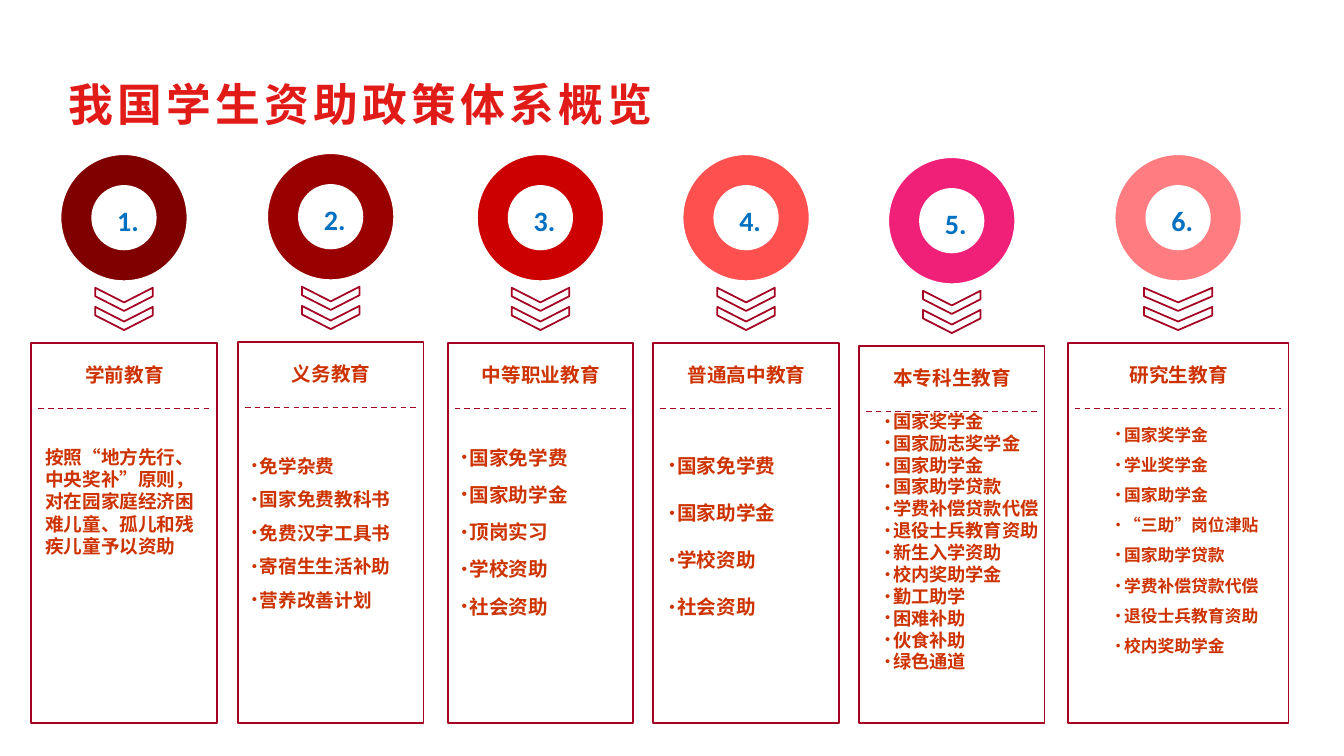
from lxml import etree
from pptx import Presentation
from pptx.dml.color import RGBColor
from pptx.enum.dml import MSO_LINE
from pptx.enum.shapes import MSO_CONNECTOR, MSO_SHAPE
from pptx.enum.text import MSO_ANCHOR, MSO_AUTO_SIZE, PP_ALIGN
from pptx.oxml.ns import qn
from pptx.util import Inches, Pt

CHINESE_FONT = "Noto Sans CJK SC"
BORDER = "A50021"
TEXT = "CC3300"
CARD_BOTTOM = 7.17

# left, top and width of the card; body is dx, dy, height, size, line spacing, space before
STAGES = [
    dict(card=(0.31, 3.4, 1.84), ring="800000", name="学前教育", bulleted=False,
         body=(0.04, 0.97, 1.22, 13.3, 1, 0),
         items=["按照“地方先行、中央奖补”原则， 对在园家庭经济困难儿童、孤儿和残疾儿童予以资助"]),
    dict(card=(2.36, 3.39, 1.84), ring="990000", name="义务教育",
         body=(0.04, 0.96, 1.78, 13.3, 1.5, 0),
         items=["免学杂费", "国家免费教科书", "免费汉字工具书", "寄宿生生活补助", "营养改善计划"]),
    dict(card=(4.44, 3.4, 1.84), ring="CC0000", name="中等职业教育",
         body=(0.04, 0.97, 1.82, 14, 1, 9.8),
         items=["国家免学费", "国家助学金", "顶岗实习", "学校资助", "社会资助"]),
    dict(card=(6.48, 3.4, 1.84), ring="FF5050", name="普通高中教育",
         body=(0.06, 0.82, 1.99, 14, 2, 0),
         items=["国家免学费", "国家助学金", "学校资助", "社会资助"]),
    dict(card=(8.52, 3.43, 1.84), ring="F02079", name="本专科生教育",
         body=(0.16, 0.59, 2.73, 13, 1, 0),
         items=["国家奖学金", "国家励志奖学金", "国家助学金", "国家助学贷款",
                "学费补偿贷款代偿", "退役士兵教育资助", "新生入学资助", "校内奖助学金",
                "勤工助学", "困难补助", "伙食补助", "绿色通道"]),
    dict(card=(10.59, 3.4, 2.19), ring="FF7C80", name="研究生教育",
         body=(0.38, 0.66, 2.76, 12, 1.5, 0),
         items=["国家奖学金", "学业奖学金", "国家助学金", "“三助”岗位津贴",
                "国家助学贷款", "学费补偿贷款代偿", "退役士兵教育资助", "校内奖助学金"]),
]


def color(hex_string):
    return RGBColor.from_string(hex_string)


def add_run(paragraph, text, size, hex_string, font_name=CHINESE_FONT):
    run = paragraph.add_run()
    run.text = text
    formats = {"size": Pt(size), "bold": True, "name": font_name}
    for attribute, value in formats.items():
        setattr(run.font, attribute, value)
    run.font.color.rgb = color(hex_string)
    properties = run.font._element
    properties.set("lang", "zh-CN")
    east_asian = etree.SubElement(properties, qn("a:ea"))
    east_asian.set("typeface", font_name)
    return run


def add_bullet(paragraph):
    properties = paragraph._p.get_or_add_pPr()
    indent = Inches(0.08)
    properties.set("marL", str(indent))
    properties.set("indent", str(-indent))
    for tag, attribute, value in (("a:buSzPct", "val", "80000"),
                                  ("a:buFont", "typeface", "Arial"),
                                  ("a:buChar", "char", "•")):
        etree.SubElement(properties, qn(tag)).set(attribute, value)


def add_text_box(shapes, left, top, width, height):
    box = shapes.add_textbox(Inches(left), Inches(top), Inches(width), Inches(height))
    box.text_frame.word_wrap = True
    return box.text_frame


def add_label(shapes, left, top, width, height, text, **run_format):
    paragraph = add_text_box(shapes, left, top, width, height).paragraphs[0]
    paragraph.alignment = PP_ALIGN.CENTER
    add_run(paragraph, text, **run_format)


def add_outlined(shapes, kind, left, top, width, height, line=BORDER, fill=None):
    shape = shapes.add_shape(kind, Inches(left), Inches(top), Inches(width), Inches(height))
    shape.shadow.inherit = False
    if fill:
        shape.fill.solid()
        shape.fill.fore_color.rgb = color(fill)
    else:
        shape.fill.background()
    shape.line.color.rgb = color(line)
    shape.line.width = Pt(1.25)
    return shape


def add_dashed_rule(shapes, left, right, y):
    rule = shapes.add_connector(MSO_CONNECTOR.STRAIGHT, Inches(left), Inches(y),
                                Inches(right), Inches(y))
    rule.line.color.rgb = color(BORDER)
    rule.line.width = Pt(1)
    rule.line.dash_style = MSO_LINE.DASH
    etree.SubElement(rule._element.spPr, qn("a:effectLst"))


def add_badge(shapes, center, card_top, card_width, number, ring):
    """Numbered ring with two chevrons pointing down at the card."""
    diameter = 1.26
    add_outlined(shapes, MSO_SHAPE.DONUT, center - diameter / 2, card_top - 1.87,
                 diameter, diameter, line="FFFFFF", fill=ring)
    add_label(shapes, center - 0.31, card_top - 1.43, 0.7, 0.44, f"{number}.",
              size=20, hex_string="0070C0", font_name="Calibri")
    depth, span = 0.23, card_width * 0.31
    for rise in (0.43, 0.24):
        chevron = add_outlined(shapes, MSO_SHAPE.CHEVRON, center - depth / 2,
                               card_top - rise - span / 2, depth, span)
        chevron.rotation = 90
        chevron.adjustments[0] = 0.632


def add_body(shapes, card, body, items, bulleted):
    left, top, width = card
    dx, dy, height, size, line_spacing, space_before = body
    frame = add_text_box(shapes, left + dx, top + dy, width - 0.07, height)
    for index, item in enumerate(items):
        paragraph = frame.add_paragraph() if index else frame.paragraphs[0]
        paragraph.line_spacing = line_spacing
        if index and space_before:
            paragraph.space_before = Pt(space_before)
        if bulleted:
            add_bullet(paragraph)
        add_run(paragraph, item, size, TEXT)


def add_stage(slide, number, card, ring, name, body, items, bulleted=True):
    left, top, width = card
    shapes = slide.shapes.add_group_shape().shapes
    add_badge(shapes, left + width / 2, top, width, number, ring)
    add_outlined(shapes, MSO_SHAPE.RECTANGLE, left, top, width, CARD_BOTTOM - top)
    add_dashed_rule(shapes, left + 0.07, left + width - 0.07, top + 0.65)
    add_label(shapes, left + 0.04, top + 0.15, width - 0.07, 0.34, name,
              size=14, hex_string=TEXT)
    add_body(shapes, card, body, items, bulleted)


def format_title(title, text, left, top, width, height):
    for attribute, value in dict(left=left, top=top, width=width, height=height).items():
        setattr(title, attribute, Inches(value))
    frame = title.text_frame
    frame.auto_size = MSO_AUTO_SIZE.NONE
    frame.vertical_anchor = MSO_ANCHOR.MIDDLE
    paragraph = frame.paragraphs[0]
    paragraph.alignment = PP_ALIGN.LEFT
    run = add_run(paragraph, text, 32, "E11B18")
    run.font._element.set("spc", "300")


def main():
    presentation = Presentation()
    presentation.slide_width = Inches(13.33)
    presentation.slide_height = Inches(7.5)
    slide = presentation.slides.add_slide(presentation.slide_layouts[5])
    format_title(slide.shapes.title, "我国学生资助政策体系概览", 0.58, 0.71, 7.87, 0.64)
    for number, stage in enumerate(STAGES, start=1):
        add_stage(slide, number, **stage)
    presentation.save("out.pptx")


if __name__ == "__main__":
    main()
